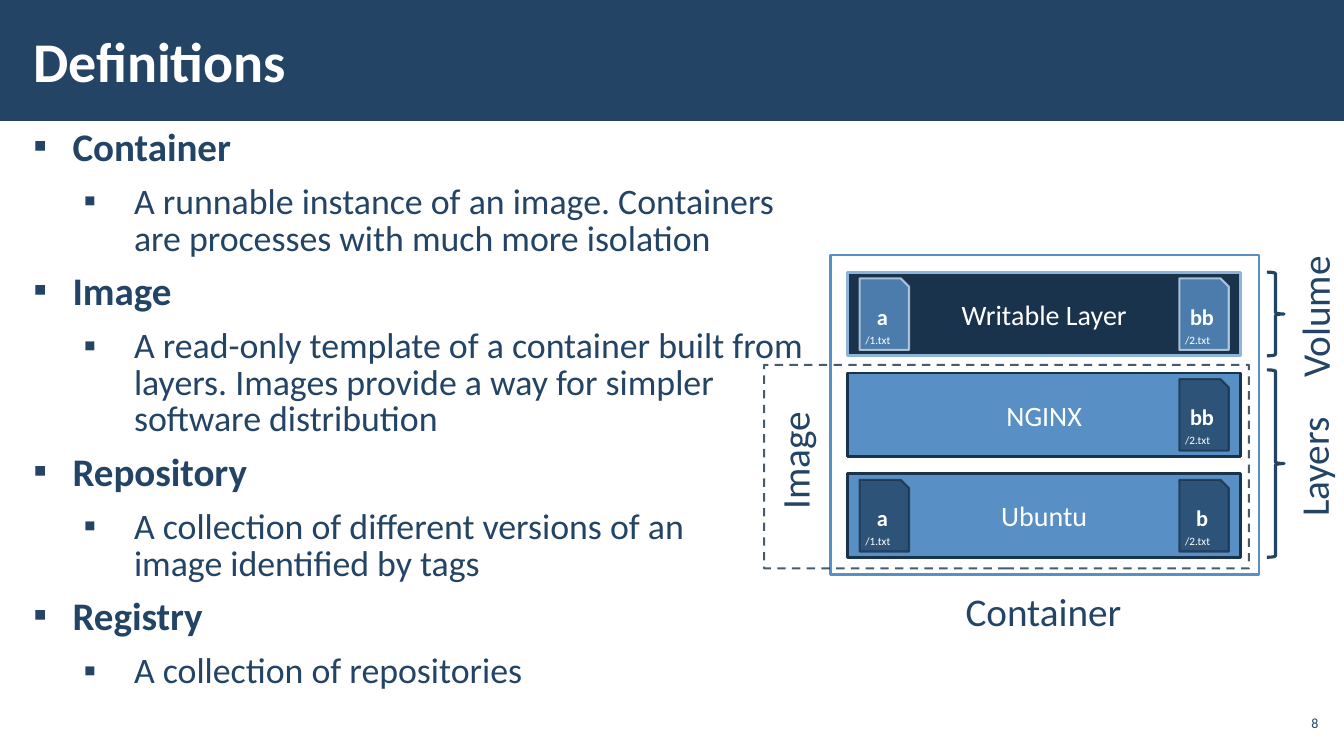
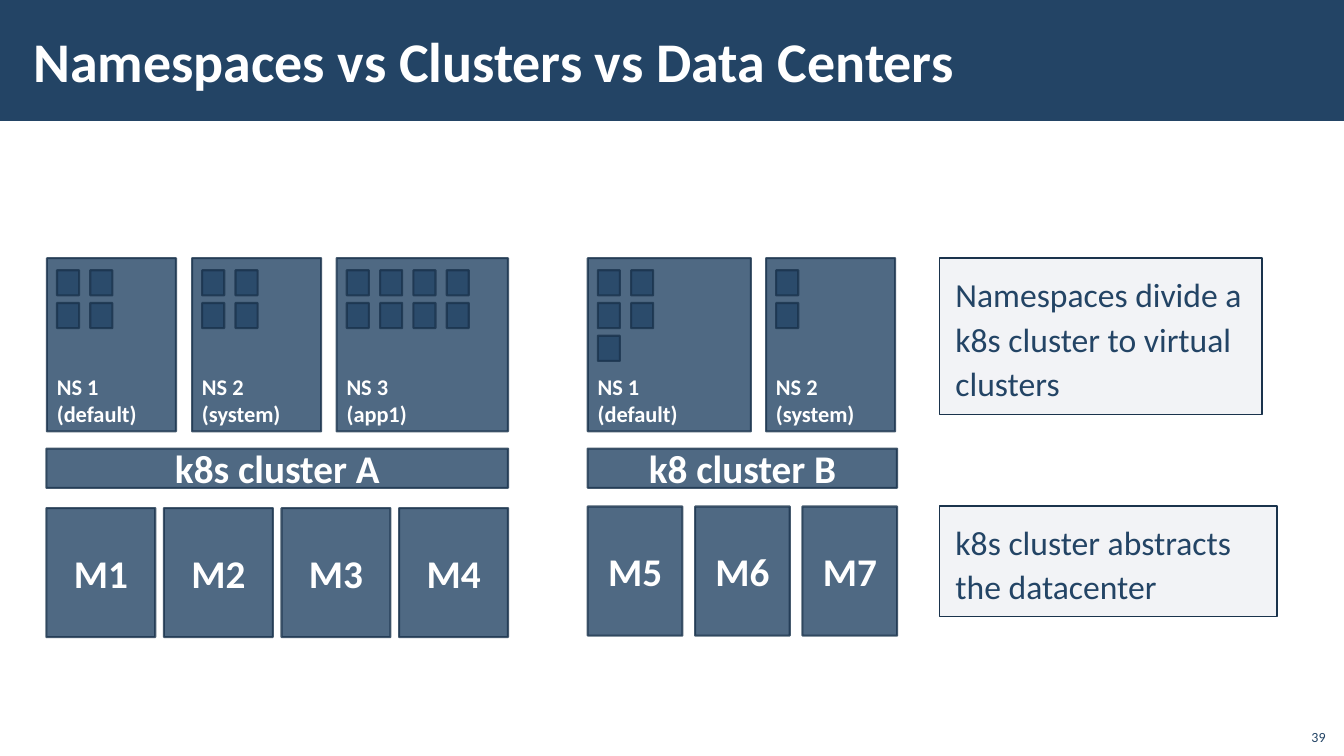
from lxml.etree import SubElement
from pptx import Presentation
from pptx.dml.color import RGBColor
from pptx.enum.dml import MSO_LINE
from pptx.enum.shapes import MSO_SHAPE
from pptx.enum.text import MSO_ANCHOR, MSO_AUTO_SIZE, PP_ALIGN
from pptx.oxml.ns import qn
from pptx.util import Pt

NAVY = "234465"
DARK = "1A334C"
BRACE = "214364"
BLUE = "588FC5"
SKY = "90B4D8"
PALE = "C7DAEC"
GREY = "ADB4C3"
WHITE = "FFFFFF"


def color(hex_text):
    return RGBColor.from_string(hex_text)


def fade(parent, opacity):
    element = parent.find(f"{qn('a:solidFill')}/{qn('a:srgbClr')}")
    if element is not None and opacity < 100:
        SubElement(element, qn("a:alpha"), val=str(opacity * 1000))


class Deck:
    font = "Calibri"
    layouts = {"list": 1, "title": 5}
    levels = [(28.08, -28.08, 27.9, 0.8), (72, -36, 25.6, 0.85)]

    def __init__(self):
        self.presentation = Presentation()
        self.presentation.slide_width = Pt(960)
        self.presentation.slide_height = Pt(540)
        self.slide = None

    def add_slide(self, title, layout):
        first = self.slide is None
        layouts = self.presentation.slide_layouts
        self.slide = self.presentation.slides.add_slide(layouts[self.layouts[layout]])
        if first:
            self.add_master_band()
        placeholder = self.slide.shapes.title
        self.place(placeholder, 15.12, 7.92, 765.36, 69.84)
        self.set_text(placeholder, title, 40, WHITE, bold=True,
                      anchor=MSO_ANCHOR.MIDDLE, inset=(8.64, 2.88))

    def add_master_band(self):
        band = self.box(0, 0, 960, 86.4, fill=NAVY)
        master = self.presentation.slide_master
        master.element.cSld.spTree.insert(2, band.element)

    def place(self, shape, left, top, width, height):
        shape.left, shape.top = Pt(left), Pt(top)
        shape.width, shape.height = Pt(width), Pt(height)

    def style_runs(self, paragraph, size, text_color, bold):
        for run in paragraph.runs:
            run.font.name = self.font
            run.font.size = Pt(size)
            run.font.bold = bold
            run.font.color.rgb = color(text_color)

    def set_frame(self, frame, anchor, inset, wrap=True):
        frame.word_wrap = wrap
        frame.auto_size = MSO_AUTO_SIZE.NONE
        frame.vertical_anchor = anchor
        frame.margin_left = frame.margin_right = Pt(inset[0])
        frame.margin_top = frame.margin_bottom = Pt(inset[1])

    def set_text(self, shape, text, size, text_color, bold=False, align=PP_ALIGN.LEFT,
                 anchor=MSO_ANCHOR.TOP, inset=(7.2, 3.6), wrap=True, spacing=None):
        frame = shape.text_frame
        frame.text = text
        self.set_frame(frame, anchor, inset, wrap)
        for paragraph in frame.paragraphs:
            paragraph.alignment = align
            if spacing:
                paragraph.line_spacing = spacing
            self.style_runs(paragraph, size, text_color, bold)

    def definitions(self, items):
        body = self.slide.placeholders[1]
        self.place(body, 15.12, 90.72, 578.16, 449.28)
        frame = body.text_frame
        self.set_frame(frame, MSO_ANCHOR.TOP, (8.64, 2.88))
        lines = [line for item in items for line in enumerate(item)]
        for index, (level, text) in enumerate(lines):
            paragraph = frame.add_paragraph() if index else frame.paragraphs[0]
            paragraph.text = text
            paragraph.level = level
            margin, indent, size, spacing = self.levels[level]
            properties = paragraph._p.get_or_add_pPr()
            properties.set("marL", str(Pt(margin)))
            properties.set("indent", str(Pt(indent)))
            SubElement(properties, qn("a:buChar"), char="▪")
            paragraph.line_spacing = spacing
            paragraph.space_before = Pt(6 if index else 0)
            paragraph.space_after = Pt(6)
            self.style_runs(paragraph, size, NAVY, level == 0)

    def box(self, left, top, width, height, fill=None, line=None, weight=1.5,
            opacity=100, line_opacity=100, kind=MSO_SHAPE.RECTANGLE):
        shape = self.slide.shapes.add_shape(kind, Pt(left), Pt(top), Pt(width), Pt(height))
        shape.shadow.inherit = False
        if fill:
            shape.fill.solid()
            shape.fill.fore_color.rgb = color(fill)
            fade(shape.element.spPr, opacity)
        else:
            shape.fill.background()
        if line:
            shape.line.color.rgb = color(line)
            shape.line.width = Pt(weight)
            fade(shape.element.spPr.find(qn("a:ln")), line_opacity)
        else:
            shape.line.fill.background()
        return shape

    def label(self, text, left, top, width, height, size=28, text_color=NAVY,
              rotation=0, **style):
        shape = self.slide.shapes.add_textbox(Pt(left), Pt(top), Pt(width), Pt(height))
        shape.rotation = rotation
        self.set_text(shape, text, size, text_color, **style)

    def layer(self, text, top, fill, line):
        shape = self.box(605.5, top, 280.8, 59.8, fill, line, 2)
        self.set_text(shape, text, 20, WHITE, align=PP_ALIGN.CENTER,
                      anchor=MSO_ANCHOR.MIDDLE)

    def file_icon(self, text, file_name, left, top, fill, line):
        shape = self.box(left, top, 35.3, 51.1, fill, line, opacity=80, line_opacity=80,
                         kind=MSO_SHAPE.SNIP_1_RECTANGLE)
        self.set_text(shape, text, 16, WHITE, bold=True, align=PP_ALIGN.CENTER,
                      anchor=MSO_ANCHOR.MIDDLE)
        self.label(file_name, left - 3, top + 35.5, 32.4, 17.3, 8, WHITE, wrap=False)

    def brace(self, top, height):
        self.box(905, top, 12.2, height, line=BRACE, weight=2.25, kind=MSO_SHAPE.RIGHT_BRACE)

    def block(self, left, top, width, height, text="", size=28,
              align=PP_ALIGN.CENTER, anchor=MSO_ANCHOR.MIDDLE):
        shape = self.box(left, top, width, height, NAVY, DARK, opacity=80, line_opacity=80)
        if text:
            self.set_text(shape, text, size, WHITE, bold=True, align=align, anchor=anchor)

    def namespace(self, left, width, text, pod_rows):
        self.block(left, 184.4, width, 123.8, text, 16, PP_ALIGN.LEFT, MSO_ANCHOR.BOTTOM)
        for row, pods in enumerate(pod_rows):
            for column in range(pods):
                self.block(left + 7.2 + 23.8 * column, 193 + 23.4 * row, 15.8, 18)

    def machines(self, names, left, top, width, pitch):
        for index, name in enumerate(names):
            self.block(left + pitch * index, top, width, 92.2, name)

    def note(self, text, top, width, height):
        shape = self.box(671, top, width, height, GREY, DARK, 1, opacity=15)
        self.set_text(shape, text, 24, NAVY, inset=(11.52, 8.64), spacing=1.1)


def definitions_slide(deck):
    deck.add_slide("Definitions", "list")
    deck.label("8", 910.8, 504, 33.8, 24.5, 10, align=PP_ALIGN.RIGHT,
               anchor=MSO_ANCHOR.MIDDLE, inset=(2.88, 2.88))
    deck.definitions([
        ("Container", "A runnable instance of an image. Containers are processes "
                      "with much more isolation"),
        ("Image", "A read-only template of a container built from layers. Images "
                  "provide a way for simpler software distribution"),
        ("Repository", "A collection of different versions of an\vimage identified by tags"),
        ("Registry", "A collection of repositories"),
    ])
    layers = [
        ("Writable Layer", DARK, SKY, BLUE, PALE, "a", "bb"),
        ("NGINX", BLUE, DARK, NAVY, DARK, None, "bb"),
        ("Ubuntu", BLUE, DARK, NAVY, DARK, "a", "b"),
    ]
    for index, (name, fill, line, icon_fill, icon_line, first, second) in enumerate(layers):
        top = 194.4 + 72 * index
        deck.layer(name, top, fill, line)
        files = [(first, "/1.txt", 614), (second, "/2.txt", 842.4)]
        for text, file_name, left in files:
            if text:
                deck.file_icon(text, file_name, left, top + 4.4, icon_fill, icon_line)
    deck.box(593.3, 182.2, 306, 228.2, line=BLUE, weight=2)
    deck.label("Container", 682.6, 416.2, 126.7, 41, wrap=False)
    deck.brace(194.4, 59.8)
    deck.brace(264.2, 133.9)
    deck.label("Layers", 893.5, 310.3, 90, 41.8, rotation=270)
    deck.label("Volume", 886.3, 203.8, 105.1, 41, rotation=270)
    frame = deck.box(545.8, 260.6, 346.3, 145.4, line=DARK, line_opacity=80)
    frame.line.dash_style = MSO_LINE.DASH
    deck.label("Image", 522.7, 305.3, 90, 41.8, rotation=270)


def clusters_slide(deck):
    deck.add_slide("Namespaces vs Clusters vs Data Centers", "title")
    deck.label("39", 925.2, 512.6, 28.8, 23, 10, align=PP_ALIGN.RIGHT,
               anchor=MSO_ANCHOR.BOTTOM)
    deck.machines(["M1", "M2", "M3", "M4"], 33.1, 362.9, 77.8, 84)
    deck.machines(["M5", "M6", "M7"], 419.8, 361.8, 67.7, 76.7)
    deck.block(33.1, 320.4, 329.8, 28.1, "k8s cluster A")
    deck.block(419.8, 320.4, 221, 28.1, "k8 cluster B")
    namespaces = [
        (33.5, 92.2, "NS 1\n(default)", [2, 2]),
        (137.2, 92.2, "NS 2\n(system)", [2, 2]),
        (240.5, 122.4, "NS 3\n(app1)", [4, 4]),
        (419.8, 116.6, "NS 1\n(default)", [2, 2, 1]),
        (547.2, 92.2, "NS 2\n(system)", [1, 1]),
    ]
    for namespace in namespaces:
        deck.namespace(*namespace)
    deck.note("k8s cluster abstracts the datacenter", 361.4, 241.2, 79.2)
    deck.note("Namespaces divide a k8s cluster to virtual clusters", 184.3, 230.4, 111.6)


def main():
    deck = Deck()
    definitions_slide(deck)
    clusters_slide(deck)
    deck.presentation.save("out.pptx")


if __name__ == "__main__":
    main()
